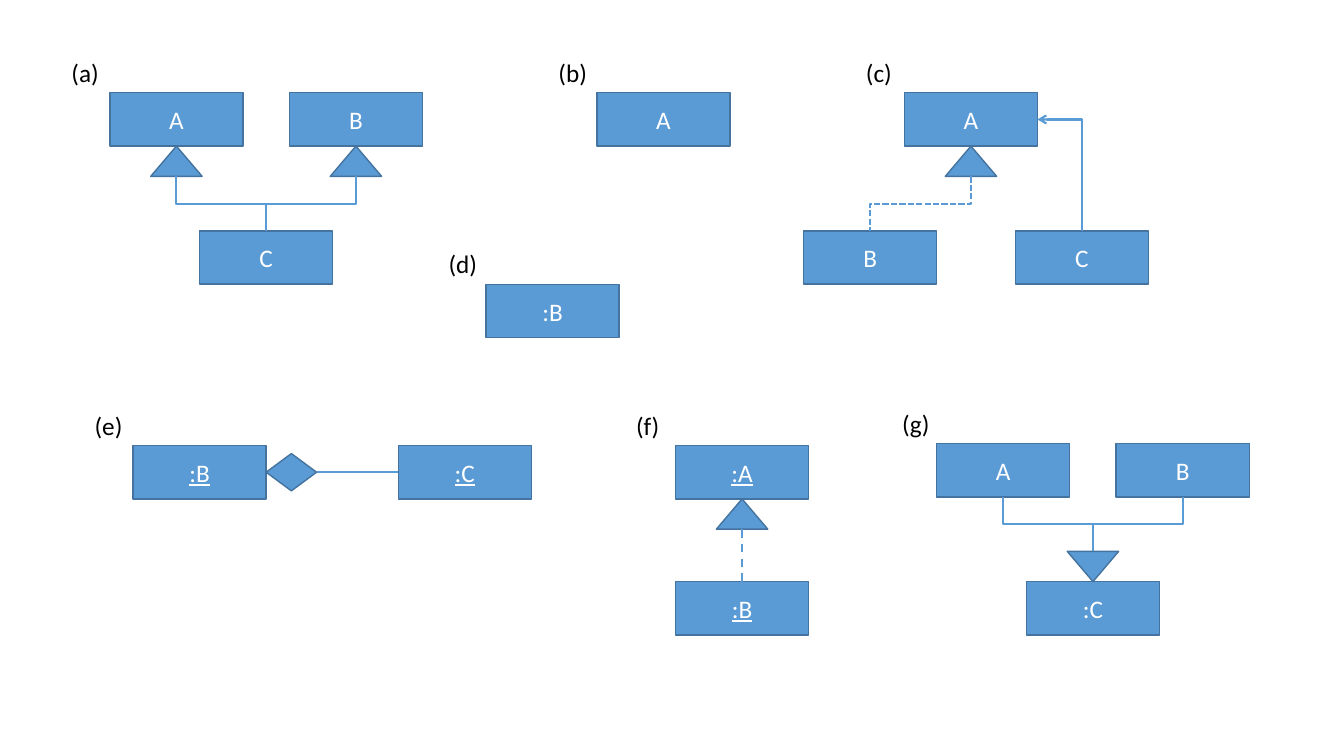
from lxml import etree
from pptx import Presentation
from pptx import util as u
from pptx.dml.color import RGBColor
from pptx.enum import dml, shapes, text
from pptx.oxml.ns import qn

BLUE = RGBColor(0x5B, 0x9B, 0xD5)
DARK_BLUE = RGBColor(0x43, 0x73, 0x9E)
WHITE = RGBColor(0xFF, 0xFF, 0xFF)
BLACK = RGBColor(0x00, 0x00, 0x00)
FONT, FONT_SIZE = "Calibri", u.Pt(18)

BOX_WIDTH, BOX_HEIGHT = 1.32, 0.53
TRIANGLE_WIDTH, TRIANGLE_HEIGHT = 0.51, 0.3
DIAMOND_WIDTH, DIAMOND_HEIGHT = 0.5, 0.37
LABEL_WIDTH, LABEL_HEIGHT = 0.48, 0.4

SHORT_DASH = dml.MSO_LINE.SQUARE_DOT
LONG_DASH = dml.MSO_LINE.DASH

# Panel: (label left, label top, {box text: (left, top)}, underlined)
PANELS = {
    "a": (0.61, 0.52, {"A": (1.09, 0.92), "B": (2.87, 0.92), "C": (1.98, 2.29)}, False),
    "b": (5.44, 0.52, {"A": (5.92, 0.92)}, False),
    "c": (8.49, 0.52, {"A": (8.97, 0.92), "B": (7.97, 2.29), "C": (10.07, 2.29)}, False),
    "d": (4.35, 2.41, {":B": (4.82, 2.82)}, False),
    "e": (0.84, 4.02, {":B": (1.32, 4.42), ":C": (3.95, 4.42)}, True),
    "f": (6.21, 4.02, {":A": (6.7, 4.42), ":B": (6.7, 5.77)}, True),
    "g": (8.85, 4.0, {"A": (9.29, 4.4), "B": (11.07, 4.4), ":C": (10.18, 5.77)}, False),
}
# Triangle under the upper box: (panel, upper box, lower box, dash)
UPWARD = [
    ("a", "A", "C", None),
    ("a", "B", "C", None),
    ("c", "A", "B", SHORT_DASH),
    ("f", ":A", ":B", LONG_DASH),
]
# Triangle over the lower box: (panel, upper boxes, lower box)
DOWNWARD = ("g", ["A", "B"], ":C")
ASSOCIATION = ("c", "C", "A")
COMPOSITION = ("e", ":B", ":C")

presentation = Presentation()
presentation.slide_width = u.Inches(13.33)
presentation.slide_height = u.Inches(7.5)
slide = presentation.slides.add_slide(presentation.slide_layouts[6])


def anchor(panel, name, across, down):
    """Point on a box, given as fractions of its width and height."""
    left, top = PANELS[panel][2][name]
    return left + across * BOX_WIDTH, top + down * BOX_HEIGHT


def add_filled(kind, left, top, width, height):
    shape = slide.shapes.add_shape(kind, *map(u.Inches, (left, top, width, height)))
    shape.shadow.inherit = False
    shape.fill.solid()
    shape.fill.fore_color.rgb = BLUE
    shape.line.color.rgb = DARK_BLUE
    shape.line.width = u.Pt(1)
    return shape


def write(shape, words, color):
    paragraph = shape.text_frame.paragraphs[0]
    paragraph.text = words
    paragraph.font.name = FONT
    paragraph.font.size = FONT_SIZE
    paragraph.font.color.rgb = color
    return paragraph


def add_box(words, left, top, underlined):
    box = add_filled(shapes.MSO_SHAPE.RECTANGLE, left, top, BOX_WIDTH, BOX_HEIGHT)
    box.text_frame.vertical_anchor = text.MSO_ANCHOR.MIDDLE
    paragraph = write(box, words, WHITE)
    paragraph.alignment = text.PP_ALIGN.CENTER
    if underlined:
        paragraph.font.underline = True


def add_label(words, left, top):
    label = slide.shapes.add_textbox(
        *map(u.Inches, (left, top, LABEL_WIDTH, LABEL_HEIGHT)))
    label.text_frame.word_wrap = False
    label.text_frame.auto_size = text.MSO_AUTO_SIZE.SHAPE_TO_FIT_TEXT
    write(label, words, BLACK)


def add_triangle(center, top):
    return add_filled(shapes.MSO_SHAPE.ISOSCELES_TRIANGLE, center - TRIANGLE_WIDTH / 2,
                      top, TRIANGLE_WIDTH, TRIANGLE_HEIGHT)


def add_line(start, end, dash=None):
    """Straight line if level or upright, else an elbow that leaves vertically."""
    (x1, y1), (x2, y2) = start, end
    bent = abs(x2 - x1) > 0.01 and abs(y2 - y1) > 0.01
    kind = shapes.MSO_CONNECTOR.STRAIGHT
    if bent:
        # Turn the ends back a quarter about the middle, then rotate the connector.
        kind = shapes.MSO_CONNECTOR.ELBOW
        middle_x, middle_y = (x1 + x2) / 2, (y1 + y2) / 2
        half_x, half_y = (y2 - y1) / 2, (x1 - x2) / 2
        x1, y1 = middle_x - half_x, middle_y - half_y
        x2, y2 = middle_x + half_x, middle_y + half_y
    line = slide.shapes.add_connector(kind, *map(u.Inches, (x1, y1, x2, y2)))
    if bent:
        line.element.spPr.find(qn("a:xfrm")).set("rot", str(90 * 60000))
    line.line.color.rgb = BLUE
    line.line.width = u.Pt(1.5)
    if dash:
        line.line.dash_style = dash
    etree.SubElement(line.element.spPr, qn("a:effectLst"))
    return line


for panel, (label_left, label_top, boxes, underlined) in PANELS.items():
    add_label(f"({panel})", label_left, label_top)
    for name, (left, top) in boxes.items():
        add_box(name, left, top, underlined)

for panel, upper, lower, dash in UPWARD:
    center, bottom = anchor(panel, upper, 0.5, 1)
    add_triangle(center, bottom)
    add_line((center, bottom + TRIANGLE_HEIGHT), anchor(panel, lower, 0.5, 0), dash)

panel, uppers, lower = DOWNWARD
center, top = anchor(panel, lower, 0.5, 0)
add_triangle(center, top - TRIANGLE_HEIGHT).rotation = 180
for upper in uppers:
    add_line(anchor(panel, upper, 0.5, 1), (center, top - TRIANGLE_HEIGHT))

panel, source, target = ASSOCIATION
arrow = add_line(anchor(panel, source, 0.5, 0), anchor(panel, target, 1, 0.5))
arrow.element.spPr.find(qn("a:prstGeom")).set("prst", "bentConnector2")
etree.SubElement(arrow.element.spPr.find(qn("a:ln")), qn("a:tailEnd"), type="arrow")

panel, whole, part = COMPOSITION
left, middle = anchor(panel, whole, 1, 0.5)
add_filled(shapes.MSO_SHAPE.DIAMOND, left, middle - DIAMOND_HEIGHT / 2,
           DIAMOND_WIDTH, DIAMOND_HEIGHT)
add_line((left + DIAMOND_WIDTH, middle), anchor(panel, part, 0, 0.5))

presentation.save("out.pptx")
